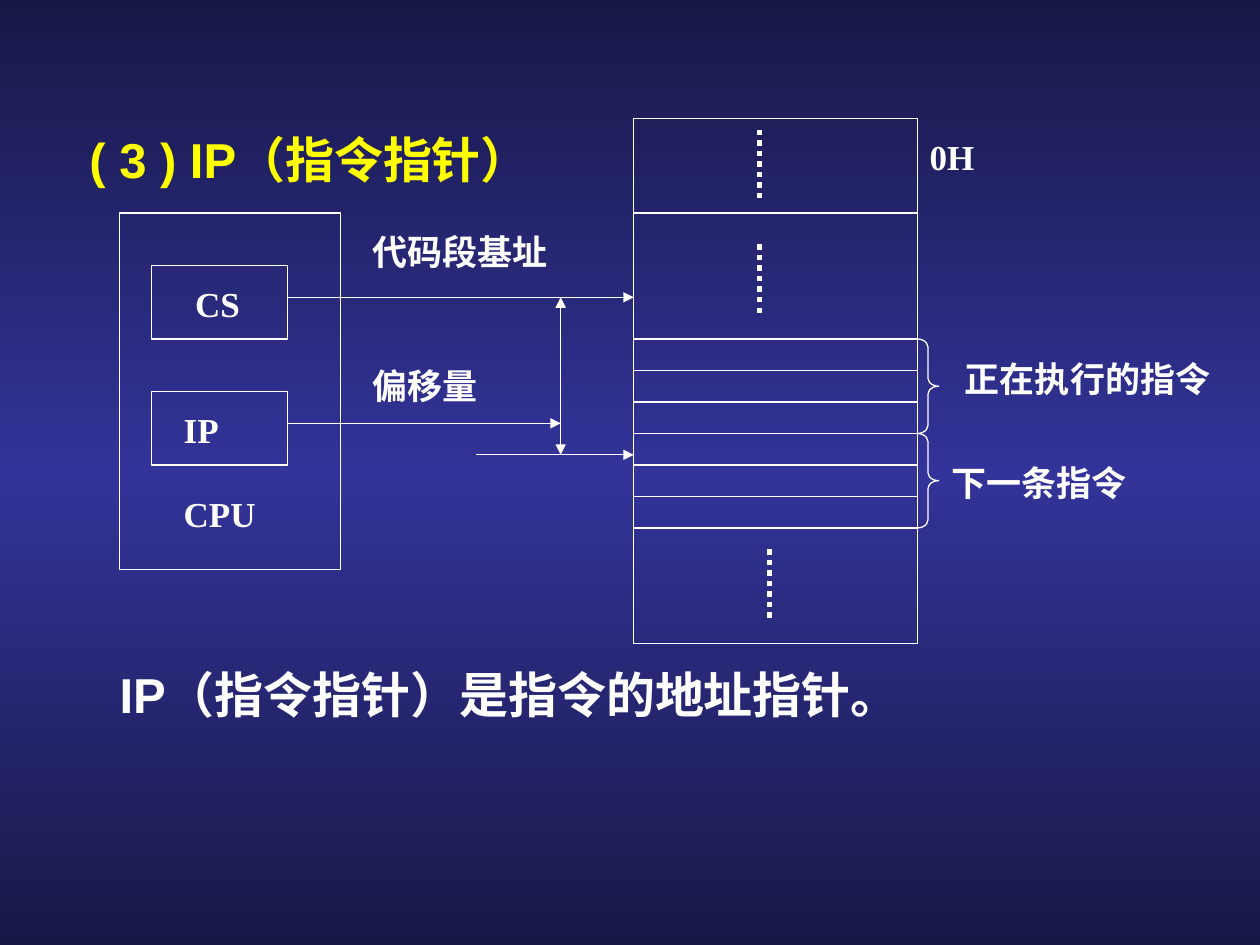
from copy import deepcopy
from pptx import Presentation
from pptx.dml.color import RGBColor
from pptx.enum.dml import MSO_LINE
from pptx.enum.shapes import MSO_CONNECTOR, MSO_SHAPE
from pptx.enum.text import MSO_ANCHOR, MSO_AUTO_SIZE, PP_ALIGN
from pptx.oxml.ns import qn
from pptx.util import Inches, Pt
from lxml.etree import SubElement

COLORS = {"dark": "181847", "mid": "333399", "white": "FFFFFF", "title": "FFFF00"}
TITLE = ("( 3 ) IP（指令指针）", 0.61, 1.03, 8.58, 0.52)
BODY = ("IP（指令指针）是指令的地址指针。", 0.85, 5.28, 7.92, 0.52)
LABELS = [
    ("CPU", 1.36, 3.86, 0.83),
    ("CS", 1.45, 2.19, 0.58),
    ("IP", 1.36, 3.19, 0.58),
    ("代码段基址", 2.86, 1.78, 1.67),
    ("偏移量", 2.86, 2.84, 1.08),
    ("0H", 7.28, 1.03, 0.58),
    ("正在执行的指令", 7.56, 2.79, 2.17),
    ("下一条指令", 7.45, 3.61, 1.67),
]
LEFT, RIGHT, ROW, STEP = 5.03, 7.28, 2.69, 0.25
MEMORY = (LEFT, 0.94, RIGHT - LEFT, 4.17)
CPU = (0.95, 1.69, 1.75, 2.83)
REGS = [(1.2, top, 1.08, 0.58) for top in (2.11, 3.11)]
RULES = [1.69] + [ROW + STEP * i for i in range(7)]
BRACES = [ROW, ROW + 3 * STEP]
DOTS = [(6.03, 1.03), (6.03, 1.94), (6.11, 4.36)]
ARROWS = [
    (2.28, 2.36, LEFT, 2.36, ["tailEnd"]),
    (3.78, 3.61, LEFT, 3.61, ["tailEnd"]),
    (4.45, 2.36, 4.45, 3.61, ["headEnd", "tailEnd"]),
    (2.28, 3.36, 4.45, 3.36, ["tailEnd"]),
]


def color(name):
    return RGBColor.from_string(COLORS[name])


def paint(slide):
    fill = slide.background.fill
    fill.gradient()
    fill.gradient_angle = 90
    first = next(slide.element.iter(qn("a:gs")))
    first.addnext(deepcopy(first))
    for stop, (spot, name) in zip(fill.gradient_stops, [(0, "dark"), (0.5, "mid"), (1, "dark")]):
        stop.position = spot
        stop.color.rgb = color(name)


def write(shape, text, size, font, hue="white", anchor=MSO_ANCHOR.TOP, space=1.0):
    frame = shape.text_frame
    frame.text = text
    frame.word_wrap = True
    frame.auto_size = MSO_AUTO_SIZE.NONE
    frame.vertical_anchor = anchor
    par = frame.paragraphs[0]
    par.alignment = PP_ALIGN.LEFT
    par.line_spacing = space
    par.font.size = Pt(size)
    par.font.name = font
    par.font.bold = True
    par.font.color.rgb = color(hue)


def outline(slide, kind, box):
    shape = slide.shapes.add_shape(kind, *map(Inches, box))
    shape.shadow.inherit = False
    shape.fill.background()
    shape.line.color.rgb = color("white")
    shape.line.width = Pt(0.75)
    return shape


def stroke(slide, ends, width=0.75, dash=None, heads=()):
    item = slide.shapes.add_connector(MSO_CONNECTOR.STRAIGHT, *map(Inches, ends))
    item.line.color.rgb = color("white")
    item.line.width = Pt(width)
    if dash:
        item.line.dash_style = dash
    for head in heads:
        SubElement(item.line._get_or_add_ln(), qn("a:" + head), type="triangle")
    SubElement(item._element.spPr, qn("a:effectLst"))


def main():
    """Build the instruction pointer slide."""
    deck = Presentation()
    deck.slide_width, deck.slide_height = Inches(10), Inches(7.5)
    slide = deck.slides.add_slide(deck.slide_layouts[5])
    paint(slide)

    text, *box = TITLE
    title = slide.shapes.title
    title.left, title.top, title.width, title.height = map(Inches, box)
    write(title, text, 28, "Arial", "title", space=0.9)
    text, *box = BODY
    body = slide.shapes.add_textbox(*map(Inches, box))
    write(body, text, 28, "Arial", anchor=MSO_ANCHOR.MIDDLE, space=0.9)

    for box in [MEMORY, CPU, *REGS]:
        outline(slide, MSO_SHAPE.RECTANGLE, box)
    for y in RULES:
        stroke(slide, (LEFT, y, RIGHT, y))
    for x, y in DOTS:
        stroke(slide, (x, y, x, y + 0.58), 3, MSO_LINE.ROUND_DOT)
    for *ends, heads in ARROWS:
        stroke(slide, ends, heads=heads)
    for y in BRACES:
        brace = outline(slide, MSO_SHAPE.RIGHT_BRACE, (RIGHT, y, 0.17, 3 * STEP))
        brace.adjustments[0] = 0.375
    for text, x, y, width in LABELS:
        label = slide.shapes.add_textbox(*map(Inches, (x, y, width, 0.43)))
        write(label, text, 20, "Times New Roman")
    deck.save("out.pptx")


if __name__ == "__main__":
    main()
